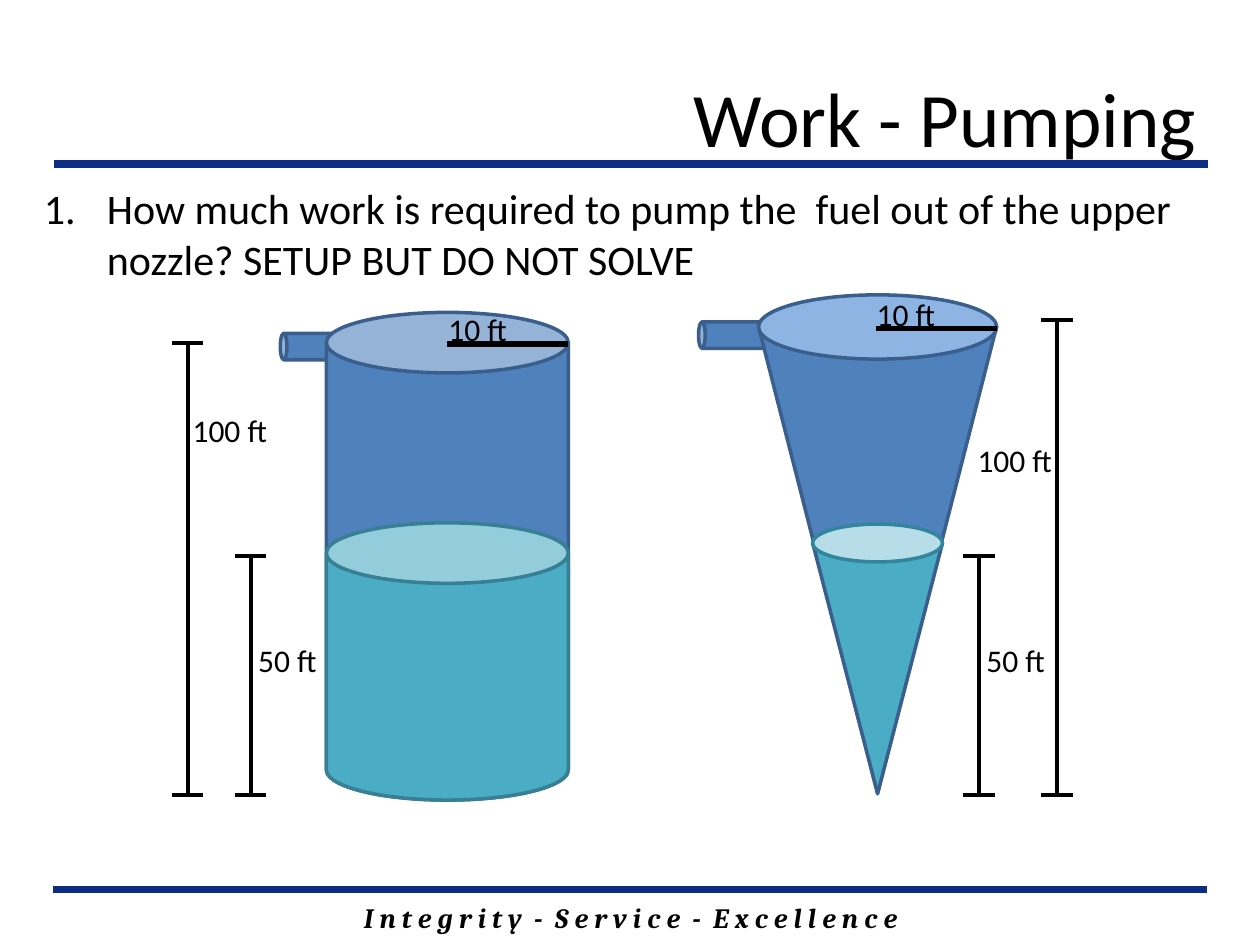
from pptx import Presentation
from pptx.dml.color import RGBColor
from pptx.enum.shapes import MSO_CONNECTOR as Conn, MSO_SHAPE as Shape
from pptx.enum.text import MSO_ANCHOR as Anchor, PP_ALIGN as Align
from pptx.oxml.ns import qn
from pptx.util import Inches, Pt
from lxml.etree import SubElement

HUES = {
    "ink": "000000",
    "rule": "0C2D83",
    "tank": "4F81BD",
    "edge": "3A5F8C",
    "fuel": "4BACC6",
    "rim": "377F92",
    "top": "8EB4E3",
    "pool": "B7DEE8",
    "shore": "31859C",
}
BASE = 6.31
HALF = 4.41


def hue(name):
    return RGBColor.from_string(HUES[name])


def style(para, size, face="Calibri"):
    for run in para.runs:
        run.font.size = Pt(size)
        run.font.name = face
        run.font.color.rgb = hue("ink")


def add_text(slide, words, box, size, face="Calibri"):
    frame = slide.shapes.add_textbox(*map(Inches, box)).text_frame
    frame.word_wrap = True
    frame.text = words
    para = frame.paragraphs[0]
    style(para, size, face)
    return para


def add_title(slide, words):
    title = slide.shapes.title
    title.left, title.top = Inches(1.8), Inches(0.3)
    title.width, title.height = Inches(7.8), Inches(1.25)
    frame = title.text_frame
    frame.text = words
    frame.vertical_anchor = Anchor.MIDDLE
    frame.paragraphs[0].alignment = Align.RIGHT
    style(frame.paragraphs[0], 44)


def add_task(slide, words):
    para = add_text(slide, words, (0.25, 1.4, 9.25, 1.31), 24)
    props = para._p.get_or_add_pPr()
    props.set("marL", str(Inches(0.5)))
    props.set("indent", str(Inches(-0.5)))
    SubElement(props, qn("a:buFont"), typeface="+mj-lt")
    SubElement(props, qn("a:buAutoNum"), type="arabicPeriod")


def add_foot(slide, words):
    para = add_text(slide, words, (1.42, 7.1, 7.17, 0.37), 16, "Cambria")
    para.alignment = Align.CENTER
    for run in para.runs:
        run.font.bold = run.font.italic = True


def add_solid(slide, kind, box, fill, edge, turn=0):
    solid = slide.shapes.add_shape(kind, *map(Inches, box))
    solid.shadow.inherit = False
    solid.rotation = turn
    solid.fill.solid()
    solid.fill.fore_color.rgb = hue(fill)
    solid.line.color.rgb = hue(edge)
    solid.line.width = Pt(2)


def add_line(slide, start, end, width, tone="ink"):
    line = slide.shapes.add_connector(Conn.STRAIGHT, *map(Inches, start + end))
    line.line.color.rgb = hue(tone)
    line.line.width = Pt(width)
    SubElement(line._element.spPr, qn("a:effectLst"))


def add_gauge(slide, x, top):
    add_line(slide, (x, top), (x, BASE), 2.25)
    for y in (top, BASE):
        add_line(slide, (x - 0.125, y), (x + 0.125, y), 2.25)


def add_label(slide, words, x, y):
    width = 0.92 if words == "100 ft" else 0.75
    add_text(slide, words, (x, y, width, 0.4), 18)


def add_nozzle(slide, x, y):
    add_solid(slide, Shape.CAN, (x, y, 0.21, 0.56), "tank", "edge", 270)


def add_radius(slide, x, y):
    add_line(slide, (x, y), (x + 0.96, y), 3)
    add_label(slide, "10 ft", x - 0.09, y - 0.32)


def draw_drum(slide):
    add_nozzle(slide, 2.4, 2.47)
    add_solid(slide, Shape.CAN, (2.59, 2.48, 1.92, 3.87), "tank", "edge")
    add_solid(slide, Shape.CAN, (2.59, 4.15, 1.92, 2.2), "fuel", "rim")
    add_radius(slide, 3.55, 2.73)
    add_gauge(slide, 1.49, 2.72)
    add_gauge(slide, 1.99, HALF)
    add_label(slide, "100 ft", 1.43, 3.21)
    add_label(slide, "50 ft", 1.95, 5.04)


def draw_cone(slide):
    cone = Shape.ISOSCELES_TRIANGLE
    add_nozzle(slide, 5.72, 2.38)
    add_solid(slide, cone, (6.02, 2.59, 1.89, 3.7), "tank", "edge", 180)
    add_solid(slide, Shape.OVAL, (6.02, 2.34, 1.89, 0.51), "top", "edge")
    add_radius(slide, 6.95, 2.61)
    add_gauge(slide, 8.39, 2.54)
    add_gauge(slide, 7.77, HALF)
    add_label(slide, "50 ft", 7.73, 5.04)
    add_label(slide, "100 ft", 7.66, 3.45)
    add_solid(slide, cone, (6.45, 4.31, 1.03, 1.99), "fuel", "edge", 180)
    add_solid(slide, Shape.OVAL, (6.45, 4.16, 1.03, 0.3), "pool", "shore")


def main():
    deck = Presentation()
    deck.slide_width, deck.slide_height = Inches(10), Inches(7.5)
    slide = deck.slides.add_slide(deck.slide_layouts[5])
    add_foot(slide, "I n t e g r i t y  -  S e r v i c e  -  E x c e l l e n c e")
    for x, y in ((0.42, 7.06), (0.43, 1.3)):
        add_line(slide, (x, y), (x + 9.16, y), 4.5, "rule")
    add_title(slide, "Work - Pumping")
    add_task(slide, "How much work is required to pump the  fuel out of "
                    "the upper nozzle? SETUP BUT DO NOT SOLVE")
    draw_drum(slide)
    draw_cone(slide)
    deck.save("out.pptx")


if __name__ == "__main__":
    main()
